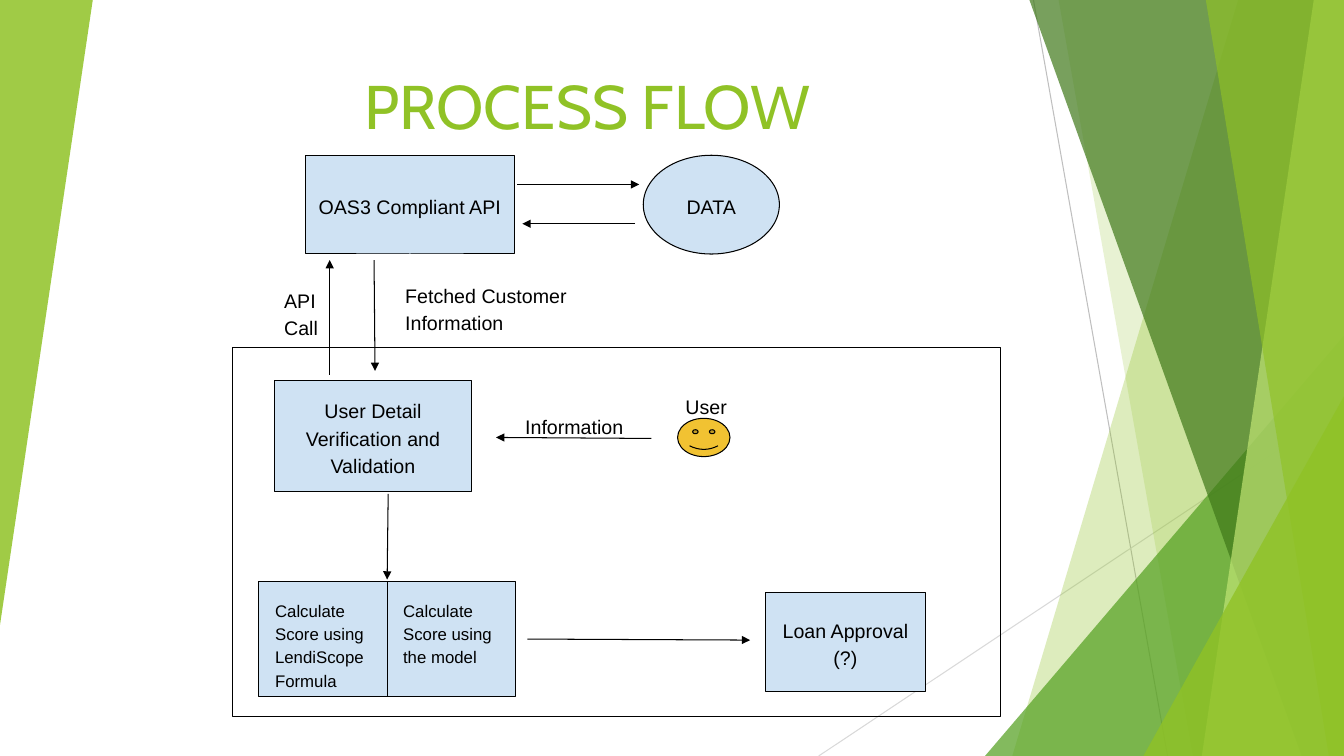
from lxml.etree import SubElement
from pptx import Presentation
from pptx.dml.color import RGBColor
from pptx.enum.shapes import MSO_CONNECTOR, MSO_SHAPE
from pptx.enum.text import MSO_ANCHOR, PP_ALIGN
from pptx.oxml.ns import qn
from pptx.util import Inches, Pt

COLORS = {
    "lime": "90C226", "green": "54A021", "forest": "3F7819", "pale": "C0E474",
    "box": "CFE2F3", "face": "F1C232", "ink": "000000",
    "gray": "BFBFBF", "light": "D9D9D9",
}


def rgb(name):
    return RGBColor.from_string(COLORS[name])


def style(sp, fill=None, line=None, opacity=None):
    sp.shadow.inherit = False
    if fill:
        sp.fill.solid()
        sp.fill.fore_color.rgb = rgb(fill)
    else:
        sp.fill.background()
    if opacity:
        color = sp.fill._xPr.find(qn("a:solidFill"))[0]
        SubElement(color, qn("a:alpha")).set("val", str(opacity * 1000))
    if line:
        sp.line.color.rgb = rgb(line)
        sp.line.width = Pt(0.75)
    else:
        sp.line.fill.background()
    return sp


def add_preset(slide, kind, x, y, w, h, adj=None, **fmt):
    sp = slide.shapes.add_shape(kind, Inches(x), Inches(y), Inches(w), Inches(h))
    if adj is not None:
        sp.adjustments[0] = adj
    return style(sp, **fmt)


def add_polygon(slide, points, **fmt):
    pts = [(Inches(x), Inches(y)) for x, y in points]
    builder = slide.shapes.build_freeform(*pts[0])
    builder.add_line_segments(pts[1:], close=True)
    return style(builder.convert_to_shape(), **fmt)


def add_line(slide, x1, y1, x2, y2, color="ink", arrow=False):
    ln = slide.shapes.add_connector(
        MSO_CONNECTOR.STRAIGHT, Inches(x1), Inches(y1), Inches(x2), Inches(y2))
    ln.line.color.rgb = rgb(color)
    ln.line.width = Pt(0.75)
    if arrow:
        SubElement(ln.line._get_or_add_ln(), qn("a:tailEnd")).set("type", "triangle")
    SubElement(ln._element.spPr, qn("a:effectLst"))


def write(sp, text, size=14, font="Arial", color="ink", align=PP_ALIGN.LEFT,
          anchor=MSO_ANCHOR.TOP, spacing=1.15, inset=0.1):
    tf = sp.text_frame
    tf.word_wrap = True
    tf.vertical_anchor = anchor
    tf.margin_left = tf.margin_right = Inches(0.1)
    tf.margin_top = tf.margin_bottom = Inches(inset)
    p = tf.paragraphs[0]
    p.alignment = align
    p.line_spacing = spacing
    r = p.add_run()
    r.text = text
    r.font.size = Pt(size)
    r.font.name = font
    r.font.color.rgb = rgb(color)


def add_label(slide, text, x, y, w, h, **fmt):
    sp = slide.shapes.add_textbox(Inches(x), Inches(y), Inches(w), Inches(h))
    write(sp, text, **fmt)


def left_wedge(slide, x, y, w, h):
    add_polygon(slide, [(x, y), (x + w, y), (x, y + h)], fill="lime", opacity=85)


def right_facets(slide, x, y, w, h):
    right, bottom = x + w, y + h

    def band(top_x, bottom_x, fill, opacity):
        add_polygon(slide, [(x + top_x, y), (right, y), (right, bottom),
                            (x + bottom_x, bottom)], fill=fill, opacity=opacity)

    def corner(width, height, fill, opacity):
        add_preset(slide, MSO_SHAPE.ISOSCELES_TRIANGLE, right - width, bottom - height,
                   width, height, adj=1, fill=fill, opacity=opacity)

    # Thin lines behind the facets
    add_line(slide, x + 2.13, y, x + 3.46, bottom, color="gray")
    add_line(slide, right, y + 4.03, x, bottom, color="light")
    # Overlapping facets, back to front
    band(4.16, 1.92, "lime", 30)
    band(2.38, 3.71, "lime", 20)
    corner(3.56, 4.17, "green", 72)
    band(2.09, 4.79, "forest", 70)
    band(4.91, 3.8, "pale", 70)
    band(3.84, 5.06, "lime", 65)
    corner(1.99, 3.57, "lime", 80)


def process_flow(slide, x, y, w, h):
    # Frame around the internal steps
    add_preset(slide, MSO_SHAPE.RECTANGLE, x, y + 1.91, w, h - 1.91, line="ink")

    # Steps
    rect, oval = MSO_SHAPE.RECTANGLE, MSO_SHAPE.OVAL
    for kind, text, dx, dy, sw, sh in [
        (rect, "OAS3 Compliant API", 0.72, 0, 2.07, 0.98),
        (oval, "DATA", 4.07, 0, 1.35, 0.98),
        (rect, "User Detail Verification and Validation", 0.41, 2.24, 1.96, 1.1),
        (rect, "Loan Approval (?)", 5.28, 4.34, 1.59, 0.98),
    ]:
        sp = add_preset(slide, kind, x + dx, y + dy, sw, sh, fill="box", line="ink")
        write(sp, text, align=PP_ALIGN.CENTER, anchor=MSO_ANCHOR.MIDDLE)

    # User
    add_preset(slide, MSO_SHAPE.SMILEY_FACE, x + 4.41, y + 2.61, 0.52, 0.38,
               adj=0.05, fill="face", line="ink")

    # Score box split in two
    add_preset(slide, rect, x + 0.25, y + 4.23, 2.55, 1.14, fill="box", line="ink")
    add_line(slide, x + 1.53, y + 4.23, x + 1.53, y + 5.37)

    # Arrows
    for x1, y1, x2, y2 in [
        (0.96, 2.18, 0.96, 1.04),
        (1.4, 1.04, 1.41, 2.14),
        (2.82, 0.29, 4.03, 0.29),
        (3.99, 0.68, 2.87, 0.68),
        (4.15, 2.81, 2.61, 2.8),
        (1.54, 3.36, 1.53, 4.21),
        (2.92, 4.8, 5.13, 4.81),
    ]:
        add_line(slide, x + x1, y + y1, x + x2, y + y2, arrow=True)

    # Labels
    for text, dx, dy, lw, lh, size in [
        ("API Call", 0.41, 1.19, 0.66, 0.34, 14),
        ("Fetched Customer Information", 1.61, 1.14, 1.89, 0.55, 14),
        ("User", 4.39, 2.24, 0.92, 0.55, 14),
        ("Information", 2.8, 2.44, 1.35, 0.34, 14),
        ("Calculate Score using LendiScope Formula", 0.32, 4.29, 1.21, 1.03, 12),
        ("Calculate Score using the model", 1.59, 4.29, 1.13, 0.9, 12),
    ]:
        add_label(slide, text, x + dx, y + dy, lw, lh, size=size)


def main():
    prs = Presentation()
    prs.slide_width, prs.slide_height = Inches(13.33), Inches(7.5)
    slide = prs.slides.add_slide(prs.slide_layouts[6])
    right_facets(slide, 8.12, 0, 5.21, 7.5)
    left_wedge(slide, 0, 0, 0.92, 6.2)
    process_flow(slide, 2.31, 1.54, 7.61, 5.57)
    add_label(slide, "PROCESS FLOW ", 1.65, 0.18, 8.49, 1.28, size=44, font="Cabin",
              color="lime", align=PP_ALIGN.CENTER, anchor=MSO_ANCHOR.BOTTOM,
              spacing=1.0, inset=0.05)
    prs.save("out.pptx")


if __name__ == "__main__":
    main()
